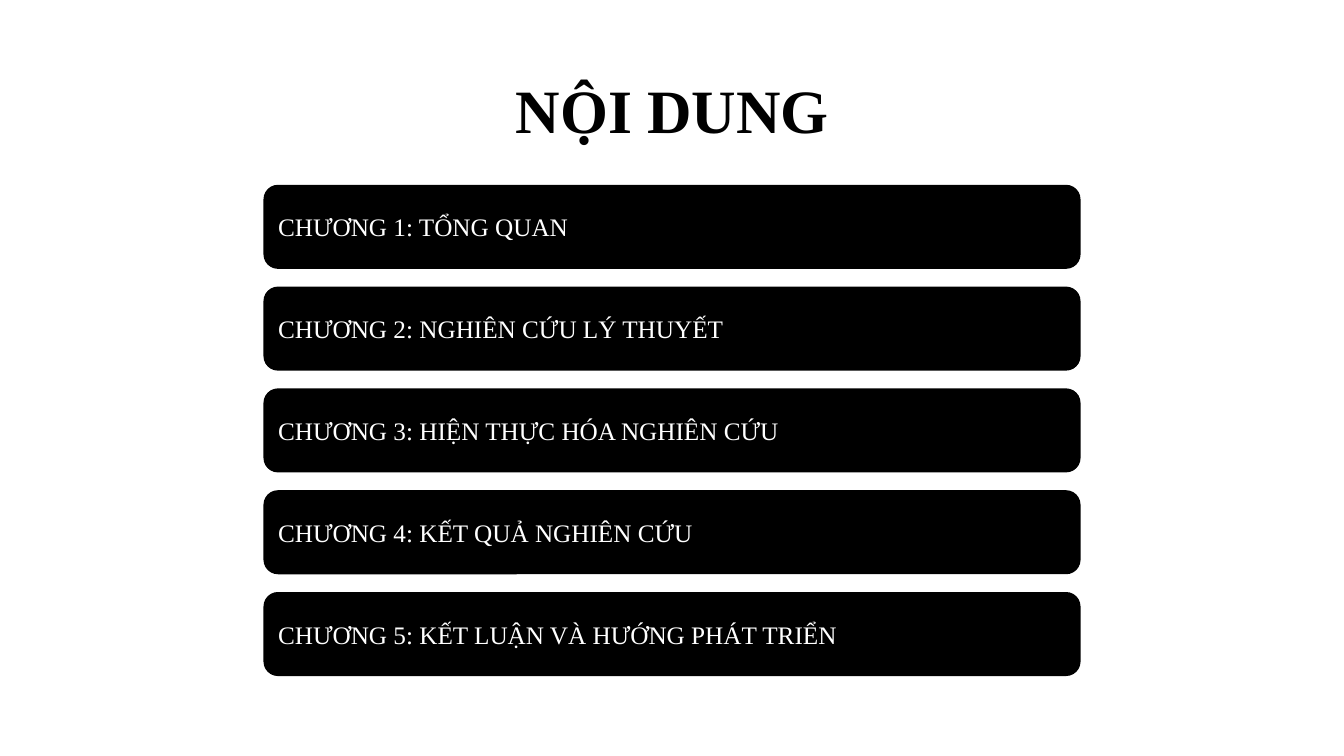
"""Build the table-of-contents slide."""
from dataclasses import dataclass

from pptx import Presentation
from pptx.dml.color import RGBColor
from pptx.enum.shapes import MSO_SHAPE
from pptx.enum.text import MSO_ANCHOR, PP_ALIGN
from pptx.slide import Slide
from pptx.text.text import TextFrame
from pptx.util import Emu, Pt

EMU_PER_PX = 9144


@dataclass(frozen=True)
class Theme:
    """Colours, font and type sizes of the slide."""

    background: RGBColor = RGBColor(0xFF, 0xFF, 0xFF)
    ink: RGBColor = RGBColor(0x00, 0x00, 0x00)
    bar_text: RGBColor = RGBColor(0xFF, 0xFF, 0xFF)
    font: str = "Times New Roman"
    title_size: int = 44
    bar_size: int = 18


@dataclass(frozen=True)
class Box:
    """A rectangle in px."""

    left: int
    top: int
    width: int
    height: int

    def emu(self) -> tuple[Emu, Emu, Emu, Emu]:
        """Return left, top, width and height in EMU."""
        return px(self.left), px(self.top), px(self.width), px(self.height)


@dataclass(frozen=True)
class Chapter:
    """One chapter bar."""

    label: str
    box: Box


THEME = Theme()
TITLE_BOX = Box(92, 40, 1150, 145)
BAR_PITCH = 101
CHAPTER_NAMES = (
    "TỔNG QUAN",
    "NGHIÊN CỨU LÝ THUYẾT",
    "HIỆN THỰC HÓA NGHIÊN CỨU",
    "KẾT QUẢ NGHIÊN CỨU",
    "KẾT LUẬN VÀ HƯỚNG PHÁT TRIỂN",
)
CHAPTERS = [
    Chapter(f"CHƯƠNG {index + 1}: {name}", Box(262, 184 + index * BAR_PITCH, 809, 82))
    for index, name in enumerate(CHAPTER_NAMES)
]


def px(length: int) -> Emu:
    """Convert px to EMU."""
    return Emu(length * EMU_PER_PX)


def write_text(
    frame: TextFrame,
    text: str,
    *,
    size: int,
    color: RGBColor,
    bold: bool = False,
    align: PP_ALIGN = PP_ALIGN.LEFT,
    line_spacing: float = 1.0,
) -> None:
    """Write one formatted, vertically centred paragraph."""
    frame.word_wrap = True
    frame.vertical_anchor = MSO_ANCHOR.MIDDLE
    paragraph = frame.paragraphs[0]
    paragraph.alignment = align
    paragraph.line_spacing = line_spacing
    run = paragraph.add_run()
    run.text = text
    run.font.name = THEME.font
    run.font.size = Pt(size)
    run.font.bold = bold
    run.font.color.rgb = color


def draw_title(slide: Slide, text: str, box: Box) -> None:
    """Draw the centred slide title."""
    shape = slide.shapes.add_textbox(*box.emu())
    write_text(
        shape.text_frame,
        text,
        size=THEME.title_size,
        color=THEME.ink,
        bold=True,
        align=PP_ALIGN.CENTER,
        line_spacing=0.9,
    )


def draw_chapter(slide: Slide, chapter: Chapter) -> None:
    """Draw one rounded chapter bar."""
    shape = slide.shapes.add_shape(MSO_SHAPE.ROUNDED_RECTANGLE, *chapter.box.emu())
    shape.shadow.inherit = False
    shape.fill.solid()
    shape.fill.fore_color.rgb = THEME.ink
    shape.line.color.rgb = THEME.ink
    shape.line.width = Pt(1)
    write_text(shape.text_frame, chapter.label, size=THEME.bar_size, color=THEME.bar_text)


def main() -> None:
    """Build and save the presentation."""
    presentation = Presentation()
    presentation.slide_width = px(1333)
    presentation.slide_height = px(750)
    slide = presentation.slides.add_slide(presentation.slide_layouts[6])
    slide.background.fill.solid()
    slide.background.fill.fore_color.rgb = THEME.background
    draw_title(slide, "NỘI DUNG", TITLE_BOX)
    for chapter in CHAPTERS:
        draw_chapter(slide, chapter)
    presentation.save("out.pptx")


if __name__ == "__main__":
    main()
